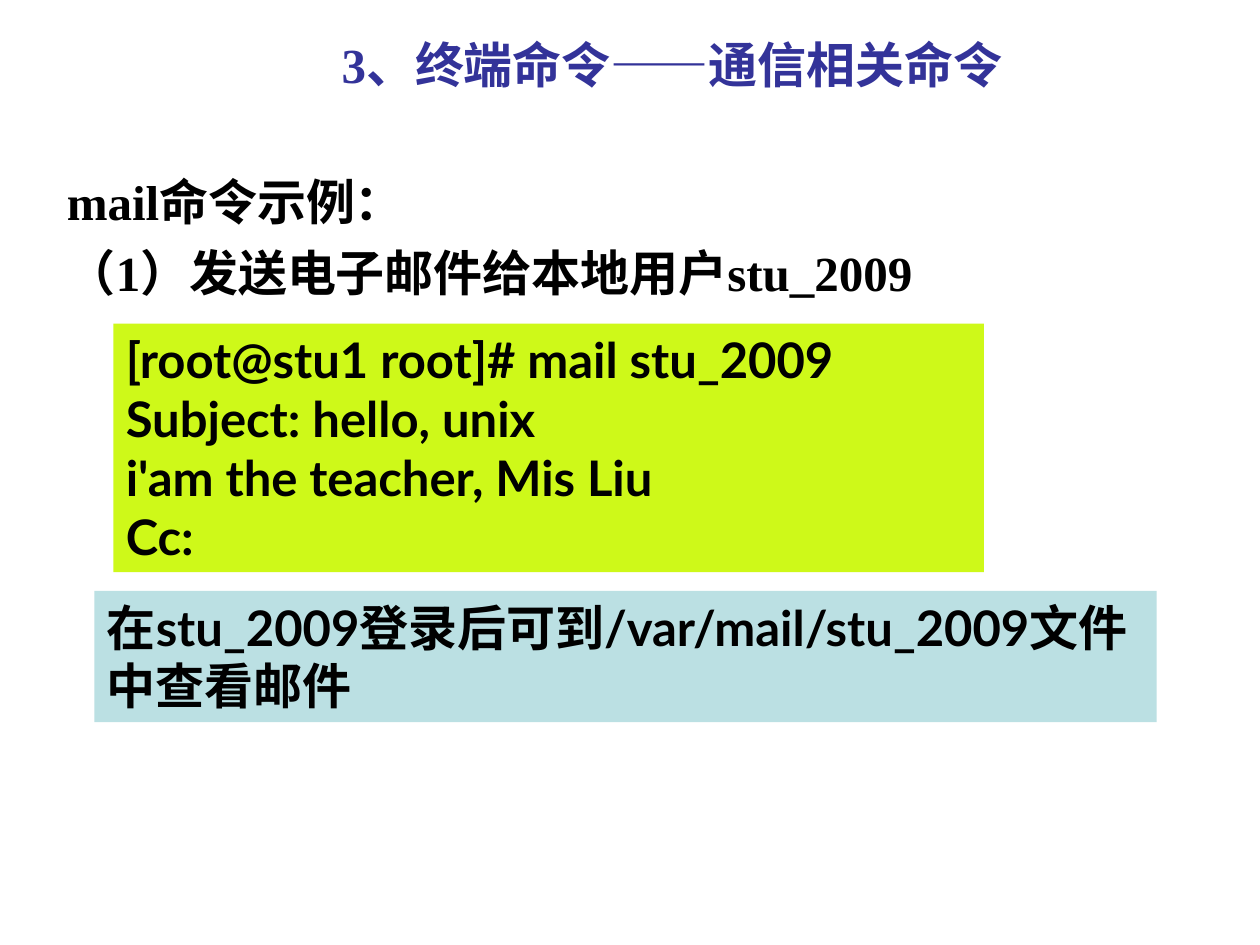
from lxml import etree
from pptx import Presentation
from pptx.dml.color import RGBColor
from pptx.enum import shapes, text
from pptx.oxml.ns import qn
from pptx.util import Pt

NAVY = RGBColor(0x33, 0x33, 0x99)
BLACK = RGBColor(0, 0, 0)
LIME = RGBColor(0xCE, 0xF9, 0x19)
PALE_TEAL = RGBColor(0xBB, 0xE0, 0xE3)
SERIF, SANS = "Times New Roman", "Lato"

TITLE = ["3、终端命令——通信相关命令"]
STEPS = ["mail命令示例：", "（1）发送电子邮件给本地用户stu_2009"]
PANELS = [
    ((64.8, 185, 497.5, 142), LIME, [
        "[root@stu1 root]# mail stu_2009",
        "Subject: hello, unix",
        "i'am the teacher, Mis Liu",
        "Cc:",
    ]),
    ((54, 337.7, 607, 75), PALE_TEAL,
     ["在stu_2009登录后可到/var/mail/stu_2009文件中查看邮件"]),
]


def place(part, box):
    part.left, part.top, part.width, part.height = map(Pt, box)


def write(frame, lines, font_name, color, align, gap=0, hanging=0):
    frame.word_wrap = True
    frame.auto_size = text.MSO_AUTO_SIZE.NONE
    for index, line in enumerate(lines):
        paragraph = frame.paragraphs[0] if index == 0 else frame.add_paragraph()
        paragraph.alignment = align
        paragraph.space_before = Pt(gap if index else 0)
        if hanging:
            properties = paragraph._p.get_or_add_pPr()
            properties.set("marL", str(Pt(hanging)))
            properties.set("indent", str(-Pt(hanging)))
            etree.SubElement(properties, qn("a:buNone"))
        run = paragraph.add_run()
        run.text = line
        run.font.name = font_name
        run.font.size = Pt(28)
        run.font.bold = True
        run.font.color.rgb = color


def main():
    deck = Presentation()
    deck.slide_width, deck.slide_height = Pt(720), Pt(540)
    slide = deck.slides.add_slide(deck.slide_layouts[1])
    heading, steps = slide.placeholders

    place(heading, (48, 15, 672, 43))
    write(heading.text_frame, TITLE, SERIF, NAVY, text.PP_ALIGN.CENTER)
    heading.text_frame.vertical_anchor = text.MSO_ANCHOR.MIDDLE

    place(steps, (31, 94.3, 669, 385))
    write(steps.text_frame, STEPS, SERIF, BLACK, text.PP_ALIGN.LEFT,
          gap=7, hanging=27)

    for box, fill, lines in PANELS:
        panel = slide.shapes.add_shape(shapes.MSO_SHAPE.RECTANGLE, *map(Pt, box))
        panel.shadow.inherit = False
        panel.fill.solid()
        panel.fill.fore_color.rgb = fill
        panel.line.fill.background()
        panel.text_frame.vertical_anchor = text.MSO_ANCHOR.TOP
        write(panel.text_frame, lines, SANS, BLACK, text.PP_ALIGN.LEFT)

    deck.save("out.pptx")


if __name__ == "__main__":
    main()
